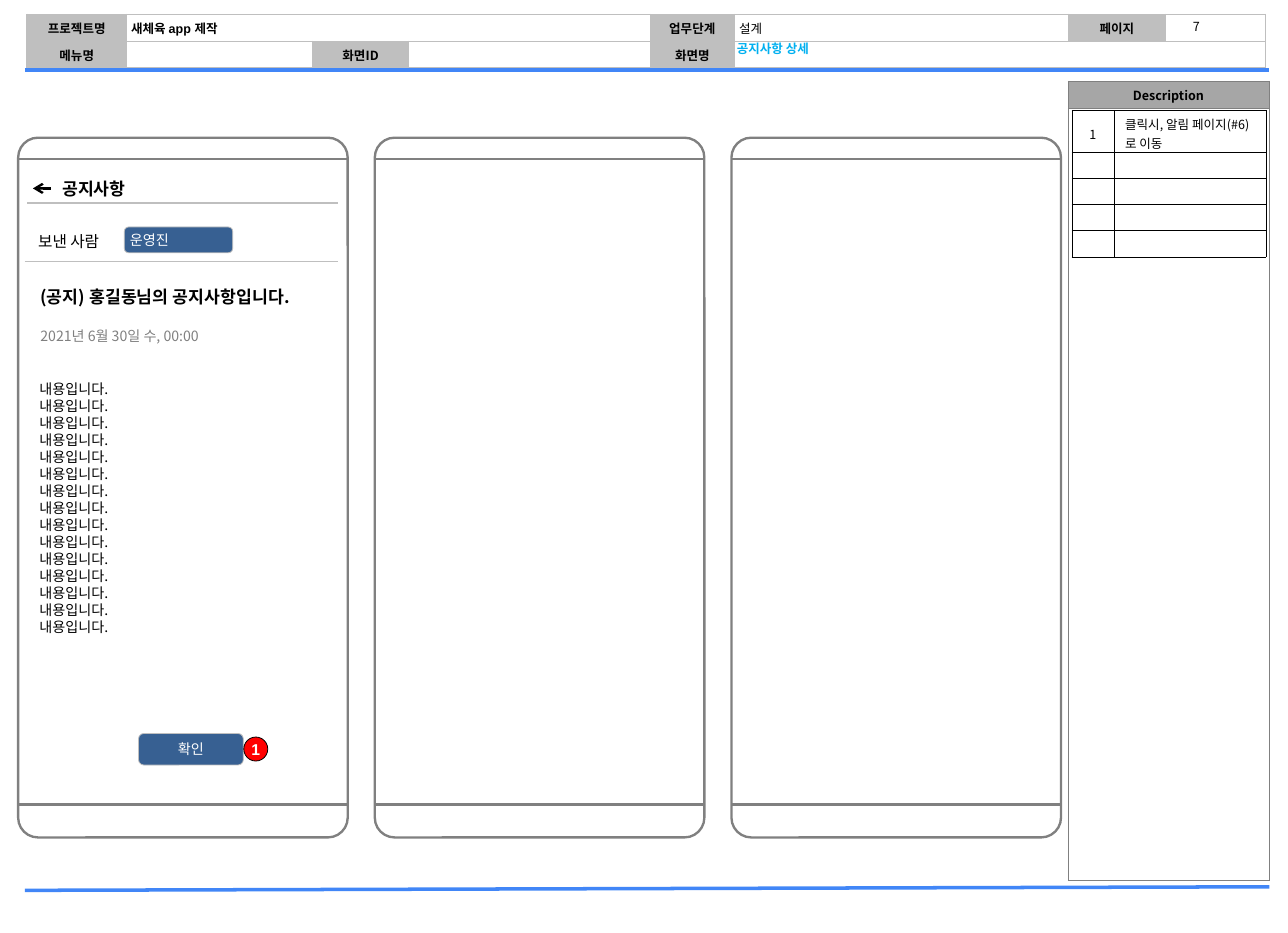
from lxml.etree import SubElement
from pptx import Presentation
from pptx.dml.color import RGBColor
from pptx.enum.shapes import MSO_CONNECTOR, MSO_SHAPE
from pptx.enum.text import MSO_ANCHOR, PP_ALIGN
from pptx.oxml.ns import qn
from pptx.util import Cm, Pt

SANS = "Noto Sans CJK KR"
BLACK = RGBColor(0x00, 0x00, 0x00)
WHITE = RGBColor(0xFF, 0xFF, 0xFF)
GRAY = RGBColor(0x80, 0x80, 0x80)
SILVER = RGBColor(0xBF, 0xBF, 0xBF)
STEEL = RGBColor(0xA6, 0xA6, 0xA6)
BLUE = RGBColor(0x41, 0x86, 0xF7)
NAVY = RGBColor(0x37, 0x60, 0x92)
SKY = RGBColor(0x00, 0xB0, 0xF0)
RED = RGBColor(0xFF, 0x00, 0x00)
LEFT, CENTER = PP_ALIGN.LEFT, PP_ALIGN.CENTER


def write(frame, text, size, color=BLACK, bold=False, align=LEFT, face=SANS):
    frame.text = text
    for line in frame.paragraphs:
        line.alignment = align
        font = line.font
        font.size, font.bold, font.name = Pt(size), bold, face
        font.color.rgb = color
        SubElement(line._p.pPr.find(qn("a:defRPr")), qn("a:ea"), typeface=SANS)


def grid(left, top, cols, rows, color, width, side, head, foot):
    table = slide.shapes.add_table(
        len(rows), len(cols), Cm(left), Cm(top), Cm(sum(cols)), Cm(sum(rows))).table
    for col, size in zip(table.columns, cols):
        col.width = Cm(size)
    for row, size in zip(table.rows, rows):
        row.height = Cm(size)
    for cell in table.iter_cells():
        cell.margin_left = cell.margin_right = Cm(side)
        cell.margin_top, cell.margin_bottom = Cm(head), Cm(foot)
        cell.vertical_anchor = MSO_ANCHOR.MIDDLE
        write(cell.text_frame, "", 8)
        for tag in ("a:lnL", "a:lnR", "a:lnT", "a:lnB"):
            edge = SubElement(cell._tc.get_or_add_tcPr(), qn(tag), w=str(Pt(width)))
            paint = SubElement(edge, qn("a:solidFill"))
            SubElement(paint, qn("a:srgbClr"), val=str(color))
        cell.fill.solid()
        cell.fill.fore_color.rgb = WHITE
    return table


deck = Presentation()
deck.slide_width, deck.slide_height = Cm(29), Cm(21)
slide = deck.slides.add_slide(deck.slide_layouts[6])

info = grid(0.61, 0.33, [2.24, 4.19, 2.16, 5.44, 1.9, 7.52, 2.18, 2.26],
            [0.6, 0.6], SILVER, 1, 0.1, 0.08, 0.08)
info.cell(0, 1).merge(info.cell(0, 3))
info.cell(1, 5).merge(info.cell(1, 7))
for row, col, text in [(0, 0, "프로젝트명"), (0, 4, "업무단계"), (0, 6, "페이지"),
                       (1, 0, "메뉴명"), (1, 2, "화면ID"), (1, 4, "화면명")]:
    cell = info.cell(row, col)
    write(cell.text_frame, text, 8, bold=True, align=CENTER)
    cell.fill.fore_color.rgb = SILVER
write(info.cell(0, 1).text_frame, "새체육 app 제작", 8, bold=True, face="Arial")
write(info.cell(0, 5).text_frame, "설계", 8)

panel = grid(24.05, 1.83, [4.52], [0.6, 17.39], GRAY, 0.5, 0.2, 0.08, 0.08)
write(panel.cell(0, 0).text_frame, "Description", 8, bold=True, align=CENTER)
panel.cell(0, 0).fill.fore_color.rgb = STEEL

notes = grid(24.13, 2.49, [0.95, 3.43], [0.93] + [0.59] * 4, BLACK, 0.25, 0.25, 0.1, 0)
write(notes.cell(0, 0).text_frame, "1", 8, align=CENTER)
write(notes.cell(0, 1).text_frame, "클릭시, 알림 페이지(#6)로 이동", 8)

rules = [
    (0.56, 20.04, 28.58, 19.96, BLUE, 2.25),
    (0.56, 1.58, 28.58, 1.58, BLUE, 2.25),
    (0.61, 4.57, 7.62, 4.57, SILVER, 0.75),
    (0.56, 5.89, 7.62, 5.89, SILVER, 0.75),
]
for step in range(3):
    left = 0.41 + 8.03 * step
    phone = slide.shapes.add_shape(
        MSO_SHAPE.ROUNDED_RECTANGLE, Cm(left), Cm(3.1), Cm(7.42), Cm(15.75))
    phone.adjustments[0] = 0.06
    phone.shadow.inherit = False
    phone.fill.background()
    phone.line.color.rgb, phone.line.width = GRAY, Pt(1.5)
    for y in (3.58, 18.11):
        rules.append((left, y, left + 7.42, y, GRAY, 1.5))
rules.append((1.14, 4.24, 0.74, 4.24, BLACK, 1.5))

for x1, y1, x2, y2, color, width in rules:
    rule = slide.shapes.add_connector(
        MSO_CONNECTOR.STRAIGHT, Cm(x1), Cm(y1), Cm(x2), Cm(y2))
    rule.line.color.rgb, rule.line.width = color, Pt(width)
    SubElement(rule._element.spPr, qn("a:effectLst"))
    if color == BLACK:
        SubElement(rule.line._get_or_add_ln(), qn("a:tailEnd"), type="arrow")

body = "\n".join(["내용입니다."] * 15)
for left, top, wide, high, text, size, color, bold, align in [
    (26.39, 0.43, 1.09, 0.35, "7", 8, BLACK, False, CENTER),
    (16.59, 0.84, 11.81, 0.51, "공지사항 상세", 8, SKY, True, LEFT),
    (1.4, 4.01, 3.28, 0.48, "공지사항", 11, BLACK, True, LEFT),
    (0.86, 5.21, 2.26, 0.43, "보낸 사람", 10, BLACK, False, LEFT),
    (0.91, 6.43, 6.35, 0.48, "(공지) 홍길동님의 공지사항입니다.", 11, BLACK, True, LEFT),
    (0.91, 7.37, 6.35, 0.38, "2021년 6월 30일 수, 00:00", 9, GRAY, False, LEFT),
    (0.89, 8.36, 6.35, 6.15, body, 9, BLACK, False, LEFT),
]:
    frame = slide.shapes.add_textbox(Cm(left), Cm(top), Cm(wide), Cm(high)).text_frame
    frame.word_wrap = True
    frame.margin_left = frame.margin_right = frame.margin_top = frame.margin_bottom = 0
    frame.vertical_anchor = MSO_ANCHOR.MIDDLE
    write(frame, text, size, color, bold, align)

ROUND, OVAL = MSO_SHAPE.ROUNDED_RECTANGLE, MSO_SHAPE.OVAL
for kind, left, top, wide, high, fill, edge, text, size, bold, align, face in [
    (ROUND, 2.8, 5.11, 2.44, 0.58, NAVY, SILVER, "운영진", 9, False, LEFT, SANS),
    (ROUND, 3.12, 16.51, 2.36, 0.71, NAVY, SILVER, "확인", 9, False, CENTER, SANS),
    (OVAL, 5.49, 16.59, 0.54, 0.54, RED, BLACK, "1", 10, True, CENTER, "Arial"),
]:
    mark = slide.shapes.add_shape(kind, Cm(left), Cm(top), Cm(wide), Cm(high))
    mark.shadow.inherit = False
    mark.fill.solid()
    mark.fill.fore_color.rgb = fill
    mark.line.color.rgb, mark.line.width = edge, Pt(0.5)
    frame = mark.text_frame
    frame.margin_left = Cm(0.1 if align == LEFT else 0)
    frame.margin_right = frame.margin_top = frame.margin_bottom = 0
    frame.vertical_anchor = MSO_ANCHOR.MIDDLE
    write(frame, text, size, WHITE, bold, align, face)

deck.save("out.pptx")
